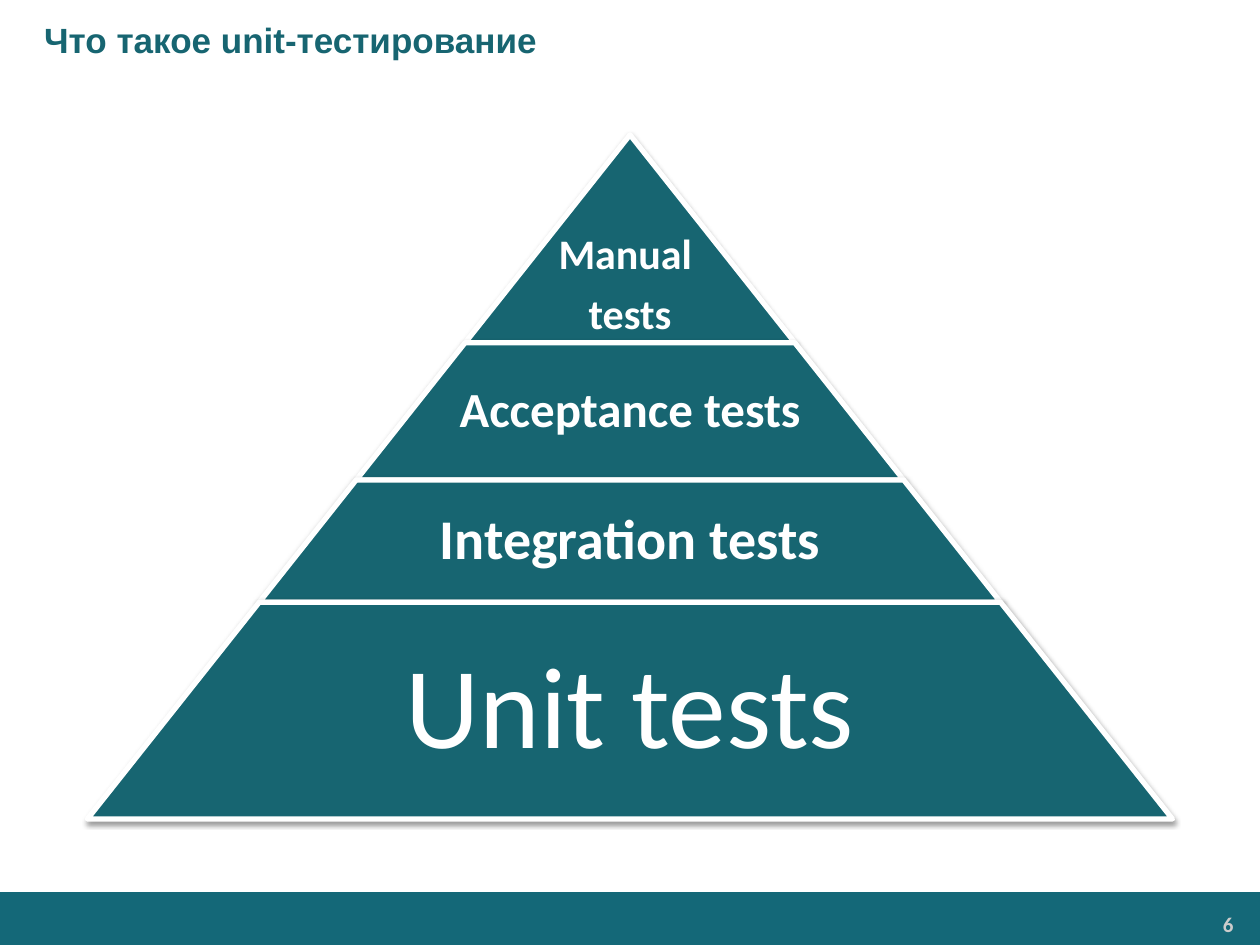
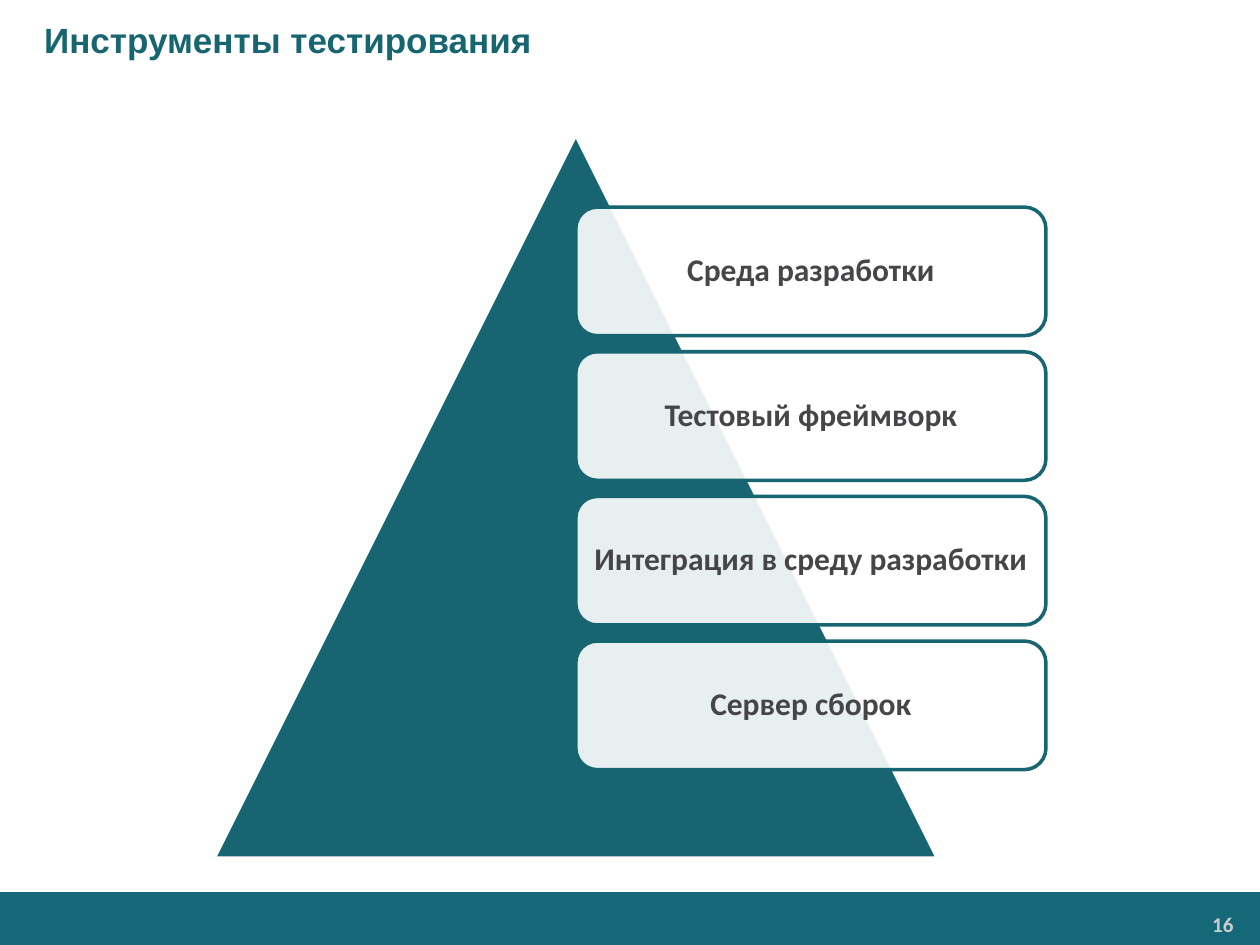
from lxml import etree
from pptx import Presentation
from pptx.dml.color import RGBColor
from pptx.enum.shapes import MSO_SHAPE
from pptx.enum.text import MSO_ANCHOR, MSO_AUTO_SIZE, PP_ALIGN
from pptx.oxml.ns import qn
from pptx.util import Inches, Pt

TEAL = RGBColor(0x17, 0x65, 0x71)
BAND_TEAL = RGBColor(0x14, 0x68, 0x78)
WHITE = RGBColor(0xFF, 0xFF, 0xFF)
CARD_TEXT = RGBColor(0x46, 0x45, 0x47)
PAGE_GREY = RGBColor(0xCC, 0xCC, 0xCC)

LEFT, CENTER, RIGHT = PP_ALIGN.LEFT, PP_ALIGN.CENTER, PP_ALIGN.RIGHT
MIDDLE, TOP, BOTTOM = MSO_ANCHOR.MIDDLE, MSO_ANCHOR.TOP, MSO_ANCHOR.BOTTOM
NO_FIT = MSO_AUTO_SIZE.NONE
RECTANGLE, TRAPEZOID = MSO_SHAPE.RECTANGLE, MSO_SHAPE.TRAPEZOID
TRIANGLE, ROUNDED = MSO_SHAPE.ISOSCELES_TRIANGLE, MSO_SHAPE.ROUNDED_RECTANGLE

WIDTH, HEIGHT = Inches(10), Inches(7.5)
TITLE_HEIGHT = HEIGHT // 12
BAND_TOP = Inches(7.08)
FIGURE_TOP = Inches(1.07)
LINE_SPACING, PARAGRAPH_GAP = 0.9, 0.35


def add_figure(slide, preset, box, fill, line=None, line_width=0):
    figure = slide.shapes.add_shape(preset, *[int(length) for length in box])
    figure.shadow.inherit = False
    figure.fill.solid()
    figure.fill.fore_color.rgb = fill
    if line is None:
        figure.line.fill.background()
    else:
        figure.line.color.rgb = line
        figure.line.width = Pt(line_width)
    return figure


def write(shape, text, size, color, bold=True, font="Calibri", align=CENTER,
          anchor=MIDDLE, insets=(0.1, 0.05), spacing=LINE_SPACING):
    """Fill a shape with text; insets are (sides, top and bottom) in inches."""
    frame = shape.text_frame
    frame.text = text
    frame.word_wrap = True
    frame.auto_size = NO_FIT
    frame.vertical_anchor = anchor
    frame.margin_left = frame.margin_right = Inches(insets[0])
    frame.margin_top = frame.margin_bottom = Inches(insets[1])
    for paragraph in frame.paragraphs:
        paragraph.alignment = align
        paragraph.line_spacing = spacing
        for run in paragraph.runs:
            run.font.name = font
            run.font.size = Pt(size)
            run.font.bold = bold
            run.font.color.rgb = color
    for paragraph in frame.paragraphs[:-1]:
        paragraph.space_after = Pt(size * PARAGRAPH_GAP)


prs = Presentation()
prs.slide_width, prs.slide_height = WIDTH, HEIGHT
title_only = prs.slide_layouts[5]

# Title, bottom band and page number of every slide
slides = []
for heading, page in [("Что такое unit-тестирование", "6"),
                      ("Инструменты тестирования", "16")]:
    slide = prs.slides.add_slide(title_only)
    slides.append(slide)
    add_figure(slide, RECTANGLE, (0, BAND_TOP, WIDTH, HEIGHT - BAND_TOP), BAND_TEAL)

    page_number = slide.shapes.add_textbox(
        Inches(8.23), Inches(7.19), Inches(1.63), Inches(0.28))
    write(page_number, page, 12, PAGE_GREY, align=RIGHT, anchor=TOP,
          insets=(0.07, 0.04), spacing=1.0)

    title = slide.shapes.title
    title.left, title.top, title.width, title.height = 0, 0, WIDTH, TITLE_HEIGHT
    write(title, heading, 20, TEAL, font="Arial", align=LEFT, spacing=1.0)
    title_format = title.text_frame.paragraphs[0]._p.get_or_add_pPr()
    title_format.set("marL", str(Inches(0.25)))
    title_format.set("indent", "0")

pyramid_slide, tools_slide = slides

# Test pyramid: each level is as wide as its depth below the apex requires
SIDE_SLOPE = 0.793
LABEL_SHARE = 0.65
levels = [
    # label, height, text size, bold, inset, label share of width, anchor
    ("Manual \ntests", 1.65, 24, True, 0.03, 1, BOTTOM),
    ("Acceptance tests", 1.09, 28, True, 0.04, LABEL_SHARE, MIDDLE),
    ("Integration tests", 0.97, 32, True, 0.04, LABEL_SHARE, MIDDLE),
    ("Unit tests", 1.72, 66, False, 0.09, LABEL_SHARE, MIDDLE),
]
level_top = FIGURE_TOP
for label, height, size, bold, inset, share, anchor in levels:
    level_height = Inches(height)
    level_bottom = level_top + level_height
    level_width = 2 * SIDE_SLOPE * (level_bottom - FIGURE_TOP)
    level = add_figure(
        pyramid_slide, TRAPEZOID,
        ((WIDTH - level_width) / 2, level_top, level_width, level_height),
        TEAL, WHITE, 3)
    level.adjustments[0] = SIDE_SLOPE

    effects = level._element.spPr.find(qn("a:effectLst"))
    shadow = etree.SubElement(
        effects, qn("a:outerShdw"), blurRad=str(Pt(3.1)), dist=str(Pt(1.6)),
        dir="5400000", rotWithShape="0")
    shadow_color = etree.SubElement(shadow, qn("a:srgbClr"), val="000000")
    etree.SubElement(shadow_color, qn("a:alpha"), val="38000")

    label_width = int(level_width * share)
    level_label = pyramid_slide.shapes.add_textbox(
        (WIDTH - label_width) // 2, level_top, label_width, level_height)
    write(level_label, label, size, WHITE, bold=bold, anchor=anchor,
          insets=(inset, inset))
    level_top = level_bottom

# Testing tools: cards start at the triangle's axis, one per fifth of its height
TRIANGLE_SIZE = Inches(5.74)
TRIANGLE_LEFT = Inches(1.7)
CARD_STEP = TRIANGLE_SIZE / 5
CARD_HEIGHT = CARD_STEP * 8 / 9
CARD_WIDTH = TRIANGLE_SIZE * 0.65
add_figure(tools_slide, TRIANGLE,
           (TRIANGLE_LEFT, FIGURE_TOP, TRIANGLE_SIZE, TRIANGLE_SIZE), TEAL, WHITE, 2)

tools = ["Среда разработки", "Тестовый фреймворк",
         "Интеграция в среду разработки", "Сервер сборок"]
for row, tool in enumerate(tools):
    card = add_figure(
        tools_slide, ROUNDED,
        (TRIANGLE_LEFT + TRIANGLE_SIZE / 2, FIGURE_TOP + CARD_STEP * (row + 0.5),
         CARD_WIDTH, CARD_HEIGHT),
        WHITE, TEAL, 2)
    card_color = card._element.spPr.find(qn("a:solidFill")).find(qn("a:srgbClr"))
    etree.SubElement(card_color, qn("a:alpha"), val="90000")
    write(card, tool, 18, CARD_TEXT, insets=(0.07, 0.07))

prs.save("out.pptx")
